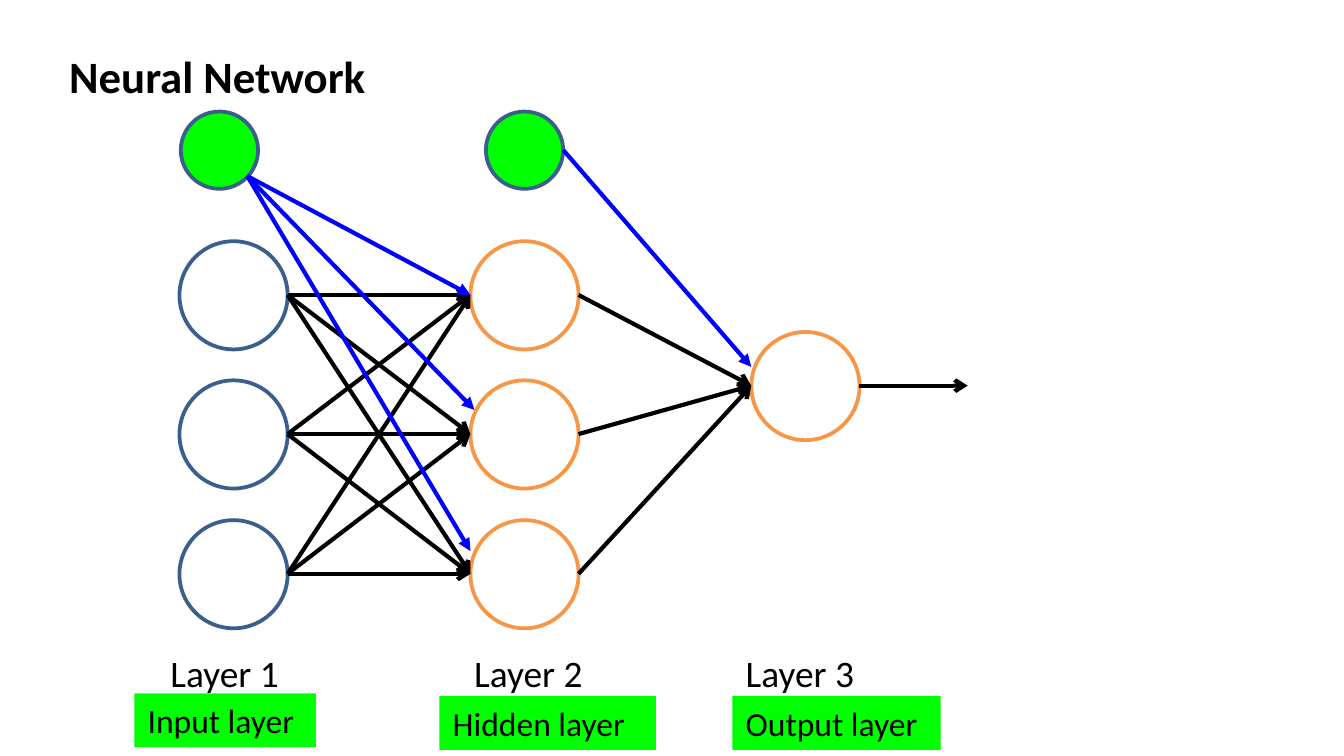
from itertools import product

from pptx import Presentation
from pptx.dml.color import RGBColor
from pptx.enum.shapes import MSO_CONNECTOR, MSO_SHAPE
from pptx.enum.text import MSO_ANCHOR, MSO_AUTO_SIZE, PP_ALIGN
from pptx.oxml.ns import qn
from pptx.util import Pt
from lxml.etree import SubElement

PX = 4572  # EMU per px, 200 px to the inch
FONT = "Calibri"
BLACK = RGBColor(0x00, 0x00, 0x00)
WHITE = RGBColor(0xFF, 0xFF, 0xFF)
NAVY = RGBColor(0x3A, 0x5F, 0x8C)
ORANGE = RGBColor(0xF7, 0x96, 0x46)
GREEN = RGBColor(0x00, 0xFF, 0x00)
BLUE = RGBColor(0x00, 0x00, 0xFF)

NEURON = 161
BIAS = 115
ROWS = (439, 646, 854)
INPUT_LEFT, HIDDEN_LEFT, OUTPUT_LEFT = 267, 700, 1118
OUTPUT_ROW = 574
BIAS_ROW = 223


def px(*lengths):
    return [length * PX for length in lengths]


def write(shape, text, size, bold=False, wrap=True):
    frame = shape.text_frame
    frame.text = text
    frame.word_wrap = wrap
    frame.auto_size = MSO_AUTO_SIZE.SHAPE_TO_FIT_TEXT
    frame.vertical_anchor = MSO_ANCHOR.TOP
    paragraph = frame.paragraphs[0]
    paragraph.alignment = PP_ALIGN.LEFT
    font = paragraph.runs[0].font
    font.name = FONT
    font.size = Pt(size)
    font.bold = bold
    font.color.rgb = BLACK


def add_title(slide, text):
    title = slide.shapes.title
    title.left, title.top, title.width, title.height = px(83, 62, 1400, 100)
    write(title, text, 24, bold=True)


def add_circle(slide, left, middle, diameter, fill, outline):
    """Draw a circle whose centre lies at the height middle."""
    circle = slide.shapes.add_shape(
        MSO_SHAPE.OVAL, *px(left, middle - diameter // 2, diameter, diameter))
    circle.shadow.inherit = False
    circle.fill.solid()
    circle.fill.fore_color.rgb = fill
    circle.line.color.rgb = outline
    circle.line.width = Pt(2)


def add_arrow(slide, start, end, color=BLACK, head="arrow"):
    arrow = slide.shapes.add_connector(
        MSO_CONNECTOR.STRAIGHT, *px(*start, *end))
    arrow.line.color.rgb = color
    arrow.line.width = Pt(2.25)
    properties = arrow._element.spPr
    SubElement(properties.find(qn("a:ln")), qn("a:tailEnd"), type=head)
    SubElement(properties, qn("a:effectLst"))


def add_layer_label(slide, left, text):
    label = slide.shapes.add_textbox(*px(left, 958, 204, 88))
    write(label, text, 20, wrap=False)


def add_role_tag(slide, left, top, width, text):
    tag = slide.shapes.add_shape(
        MSO_SHAPE.RECTANGLE, *px(left, top, width, 80))
    tag.shadow.inherit = False
    tag.fill.solid()
    tag.fill.fore_color.rgb = GREEN
    tag.line.fill.background()
    write(tag, text, 18)


def add_network(slide):
    for row in ROWS:
        add_circle(slide, INPUT_LEFT, row, NEURON, WHITE, NAVY)
        add_circle(slide, HIDDEN_LEFT, row, NEURON, WHITE, ORANGE)
    add_circle(slide, OUTPUT_LEFT, OUTPUT_ROW, NEURON, WHITE, ORANGE)

    for source, target in product(ROWS, ROWS):
        add_arrow(slide, (INPUT_LEFT + NEURON, source), (HIDDEN_LEFT, target))
    for row in ROWS:
        add_arrow(slide, (HIDDEN_LEFT + NEURON, row),
                  (OUTPUT_LEFT, OUTPUT_ROW))
    add_arrow(slide, (OUTPUT_LEFT + NEURON, OUTPUT_ROW), (1440, OUTPUT_ROW))


def add_bias_units(slide):
    for left in (269, 723):
        add_circle(slide, left, BIAS_ROW, BIAS, GREEN, NAVY)
    for target in ((700, 439), (706, 610), (700, 820)):
        add_arrow(slide, (368, 262), target, BLUE, "triangle")
    add_arrow(slide, (838, BIAS_ROW), (OUTPUT_LEFT, 546), BLUE, "triangle")


def main():
    presentation = Presentation()
    presentation.slide_width, presentation.slide_height = px(2000, 1125)
    slide = presentation.slides.add_slide(presentation.slide_layouts[5])
    add_title(slide, "Neural Network")
    add_network(slide)
    add_bias_units(slide)
    for number, left in enumerate((234, 686, 1090), start=1):
        add_layer_label(slide, left, f"Layer {number}")
    add_role_tag(slide, 200, 1032, 270, "Input layer")
    add_role_tag(slide, 654, 1036, 322, "Hidden layer")
    add_role_tag(slide, 1090, 1036, 310, "Output layer")
    presentation.save("out.pptx")


if __name__ == "__main__":
    main()
